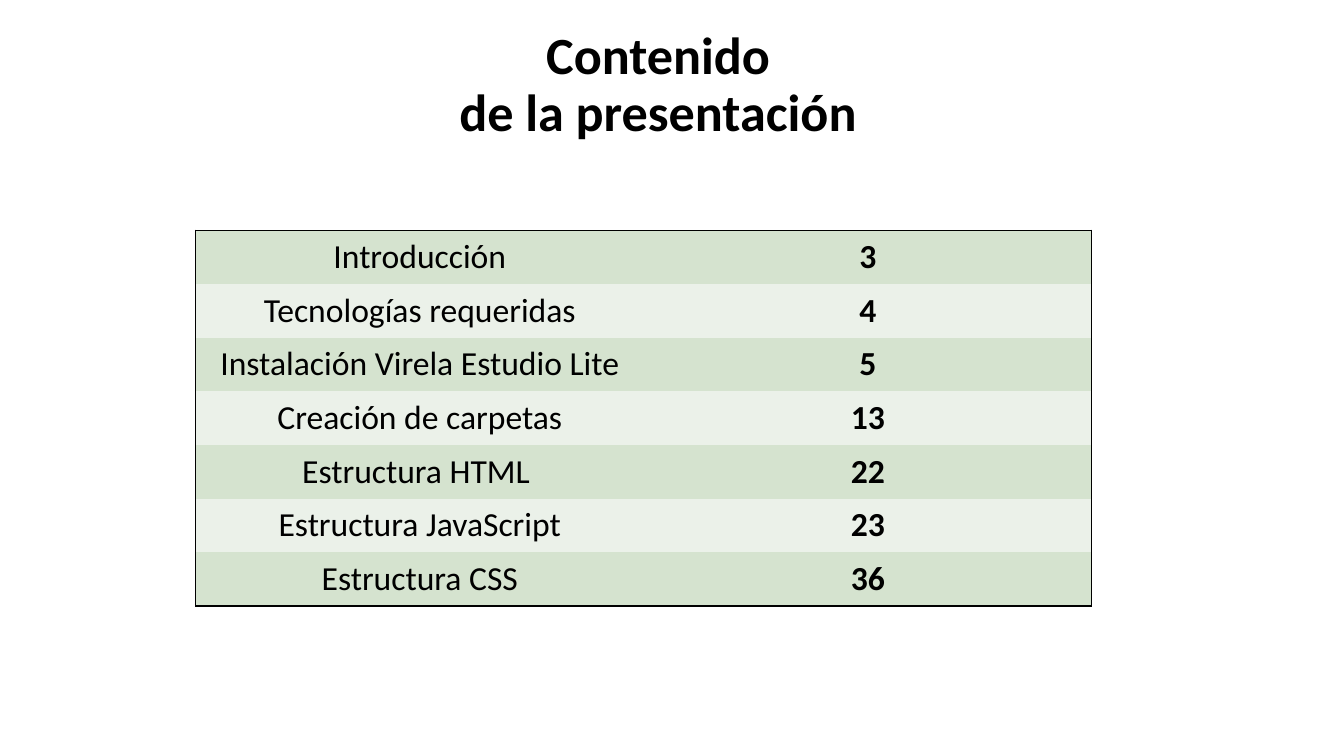
"""Build the contents slide: a centred title above a two-column table."""
import lxml.etree
import pptx
import pptx.dml.color
import pptx.enum.text
import pptx.oxml.ns
import pptx.util
from dataclasses import dataclass

Pt = pptx.util.Pt
qn = pptx.oxml.ns.qn


@dataclass
class Theme:
    font: str = "Calibri"
    ink: str = "000000"
    bands: tuple = ("D5E3CF", "EBF1E9")
    title_size: float = 37.3
    cell_size: float = 24
    border: float = 1


theme = Theme()


def add_run(p, text, size, bold):
    p.alignment = pptx.enum.text.PP_ALIGN.CENTER
    r = p.add_run()
    r.text = text
    r.font.name = theme.font
    r.font.size = Pt(size)
    r.font.bold = bold
    r.font.color.rgb = pptx.dml.color.RGBColor.from_string(theme.ink)


def set_borders(cell, visible):
    tc_pr = cell._tc.get_or_add_tcPr()
    for i, side in enumerate("LRTB"):
        ln = lxml.etree.Element(qn(f"a:ln{side}"), w=str(Pt(theme.border)))
        if side in visible:
            fill = lxml.etree.SubElement(ln, qn("a:solidFill"))
            lxml.etree.SubElement(fill, qn("a:srgbClr"), val=theme.ink)
        else:
            lxml.etree.SubElement(ln, qn("a:noFill"))
        tc_pr.insert(i, ln)


prs = pptx.Presentation()
prs.slide_width, prs.slide_height = Pt(960), Pt(540)
s = prs.slides.add_slide(prs.slide_layouts[6])

title = s.shapes.add_textbox(Pt(56.16), Pt(17.28), Pt(828), Pt(88.56))
tf = title.text_frame
tf.word_wrap = True
tf.vertical_anchor = pptx.enum.text.MSO_ANCHOR.MIDDLE
for i, line in enumerate(["Contenido", "de la presentación"]):
    p = tf.add_paragraph() if i else tf.paragraphs[0]
    p.line_spacing = 0.9
    add_run(p, line, theme.title_size, True)

contents = [
    ("Introducción", "3"),
    ("Tecnologías requeridas", "4"),
    ("Instalación Virela Estudio Lite", "5"),
    ("Creación de carpetas", "13"),
    ("Estructura HTML ", "22"),
    ("Estructura JavaScript", "23"),
    ("Estructura CSS", "36"),
]
last = len(contents) - 1
frame = s.shapes.add_table(len(contents), 2, Pt(139.9), Pt(164.4), Pt(640), Pt(268.6))
table = frame.table
table.first_row = False
table.horz_banding = False

for i, entry in enumerate(contents):
    table.rows[i].height = Pt(38.37)
    for j, text in enumerate(entry):
        cell = table.cell(i, j)
        cell.margin_left = cell.margin_right = Pt(9.6)
        cell.margin_top = cell.margin_bottom = Pt(4.5)
        cell.fill.solid()
        cell.fill.fore_color.rgb = pptx.dml.color.RGBColor.from_string(theme.bands[i % 2])
        add_run(cell.text_frame.paragraphs[0], text, theme.cell_size, j == 1)
        set_borders(cell, "LR"[j] + ("T" if i == 0 else "") + ("B" if i == last else ""))

prs.save("out.pptx")
